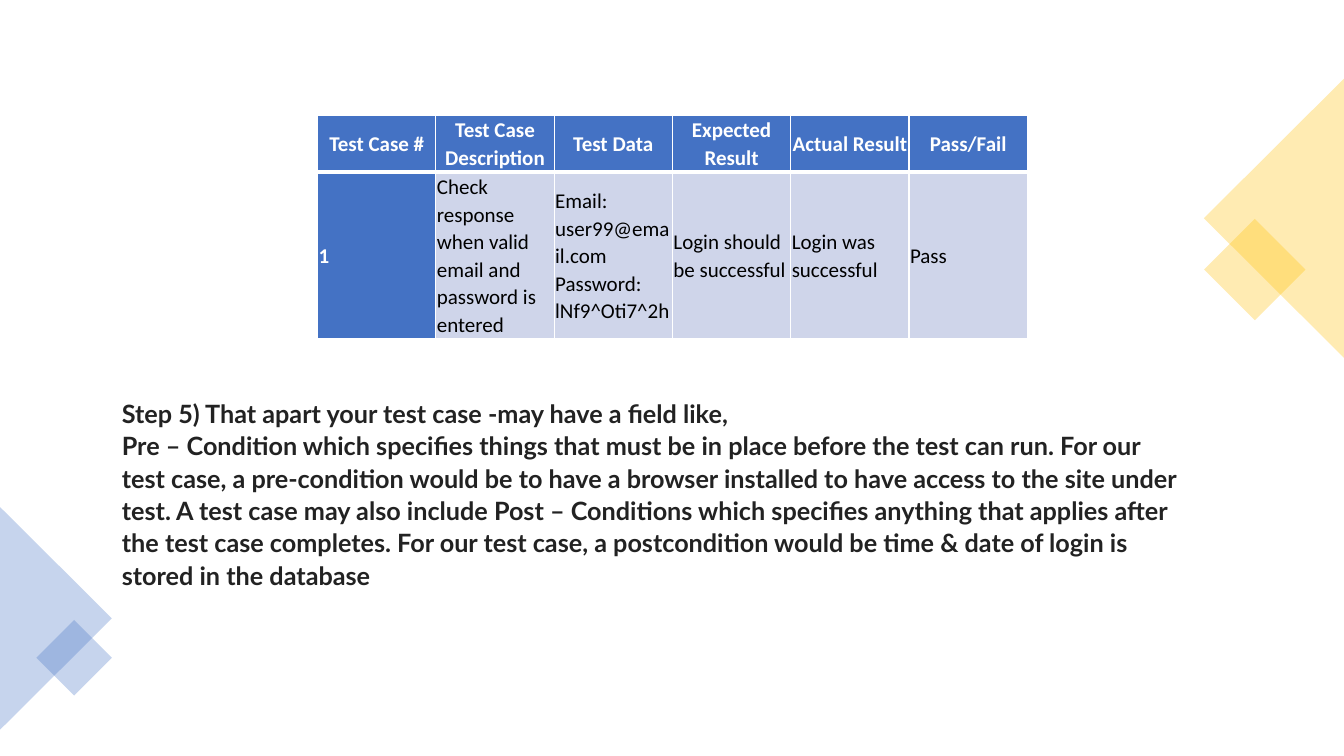
from lxml import etree
from pptx import Presentation
from pptx.dml.color import RGBColor
from pptx.enum.shapes import MSO_SHAPE
from pptx.enum.text import MSO_ANCHOR, MSO_AUTO_SIZE, PP_ALIGN
from pptx.oxml.ns import qn
from pptx.util import Inches, Pt

SQUARE, TRIANGLE = MSO_SHAPE.RECTANGLE, MSO_SHAPE.ISOSCELES_TRIANGLE
MIDDLE, FIT_SHAPE = MSO_ANCHOR.MIDDLE, MSO_AUTO_SIZE.SHAPE_TO_FIT_TEXT
LEFT, CENTER = PP_ALIGN.LEFT, PP_ALIGN.CENTER

BLUE, GOLD, PALE = "4472C4", "FFC000", "CFD5EA"
WHITE, BLACK, INK = "FFFFFF", "000000", "222222"


def color(hex_code):
    return RGBColor.from_string(hex_code)


class SlideBuilder:
    """Holds the style and the slide; lengths are percentages of the slide."""
    line_spacing = 1.07
    cell_margin = Inches(0.01)

    def __init__(self, deck):
        self.deck = deck
        self.slide = deck.slides.add_slide(deck.slide_layouts[6])
        self.slide.background.fill.solid()
        self.slide.background.fill.fore_color.rgb = color(WHITE)

    def across(self, share):
        return round(self.deck.slide_width * share / 100)

    def down(self, share):
        return round(self.deck.slide_height * share / 100)

    def frame(self, left, top, width, height):
        return self.across(left), self.down(top), self.across(width), self.down(height)

    def ornament(self, kind, area, angle, hex_code, opacity=30):
        shape = self.slide.shapes.add_shape(kind, *self.frame(*area))
        shape.rotation = angle
        shape.shadow.inherit = False
        shape.line.fill.background()
        shape.fill.solid()
        shape.fill.fore_color.rgb = color(hex_code)
        paint = shape._element.spPr.find(qn("a:solidFill"))[0]
        etree.SubElement(paint, qn("a:alpha")).set("val", str(opacity * 1000))

    def add_text(self, para, text, font, size, hex_code, bold):
        para.line_spacing = self.line_spacing
        for number, line in enumerate(text.split("\n")):
            if number:
                para.add_line_break()
            span = para.add_run()
            span.text = line
            span.font.name = font
            span.font.size = Pt(size)
            span.font.bold = bold
            span.font.color.rgb = color(hex_code)

    def text_box(self, area, text, font, size, hex_code):
        box = self.slide.shapes.add_textbox(*self.frame(*area))
        box.text_frame.word_wrap = True
        box.text_frame.auto_size = FIT_SHAPE
        para = box.text_frame.paragraphs[0]
        para.space_after = Pt(8)
        self.add_text(para, text, font, size, hex_code, True)

    def borders(self, cell, top, bottom):
        properties = cell._tc.get_or_add_tcPr()
        widths = {"a:lnL": 1, "a:lnR": 1, "a:lnT": top, "a:lnB": bottom}
        for place, (tag, width) in enumerate(widths.items()):
            edge = etree.Element(qn(tag), w=str(Pt(width)))
            fill = etree.SubElement(edge, qn("a:solidFill"))
            etree.SubElement(fill, qn("a:srgbClr")).set("val", WHITE)
            properties.insert(place, edge)

    def table(self, area, row_heights, rows):
        holder = self.slide.shapes.add_table(len(rows), len(rows[0]), *self.frame(*area))
        table = holder.table
        for row, height in zip(table.rows, row_heights):
            row.height = self.down(height)
        holder.height = self.down(area[3])
        for r, values in enumerate(rows):
            for c, value in enumerate(values):
                cell = table.cell(r, c)
                is_header = r == 0
                is_heading = is_header or c == 0
                cell.fill.solid()
                cell.fill.fore_color.rgb = color(BLUE if is_heading else PALE)
                cell.vertical_anchor = MIDDLE
                cell.margin_left = cell.margin_right = self.cell_margin
                cell.margin_top = cell.margin_bottom = self.cell_margin
                # The heavy rule is the edge shared by header and body
                self.borders(cell, 1 if is_header else 3, 3 if is_header else 1)
                para = cell.text_frame.paragraphs[0]
                para.alignment = CENTER if is_header else LEFT
                self.add_text(para, value, "Calibri", 15,
                              WHITE if is_heading else BLACK, is_heading)


def main():
    deck = Presentation()
    deck.slide_width, deck.slide_height = Inches(13.33), Inches(7.5)
    page = SlideBuilder(deck)

    # Corner ornaments
    page.ornament(SQUARE, (90.7, 30.93, 5.33, 9.47), 45, GOLD)
    page.ornament(TRIANGLE, (84.4, 19.6, 20.78, 18.53), 270, GOLD)
    page.ornament(TRIANGLE, (-4.13, 74.4, 16.58, 14.8), 90, BLUE)
    page.ornament(SQUARE, (3.53, 83.47, 3.98, 7.07), 45, BLUE)

    # Test case table
    page.table((23.63, 15.2, 52.81, 28.8), (5.6, 8.67), [
        ["Test Case #", "Test Case Description", "Test Data",
         "Expected Result", "Actual Result", "Pass/Fail"],
        ["1", "Check response when valid email and password is entered",
         "Email: user99@email.com Password: lNf9^Oti7^2h",
         "Login should be successful", "Login was successful", "Pass"],
    ])

    # Explanation of the extra fields
    page.text_box(
        (8.33, 51.73, 80.12, 27.07),
        "Step 5) That apart your test case -may have a field like,\n"
        "Pre – Condition which specifies things that must be in place before the test "
        "can run. For our test case, a pre-condition would be to have a browser "
        "installed to have access to the site under test. A test case may also include "
        "Post – Conditions which specifies anything that applies after the test case "
        "completes. For our test case, a postcondition would be time & date of login is "
        "stored in the database",
        "Lato", 18, INK)

    deck.save("out.pptx")


if __name__ == "__main__":
    main()
